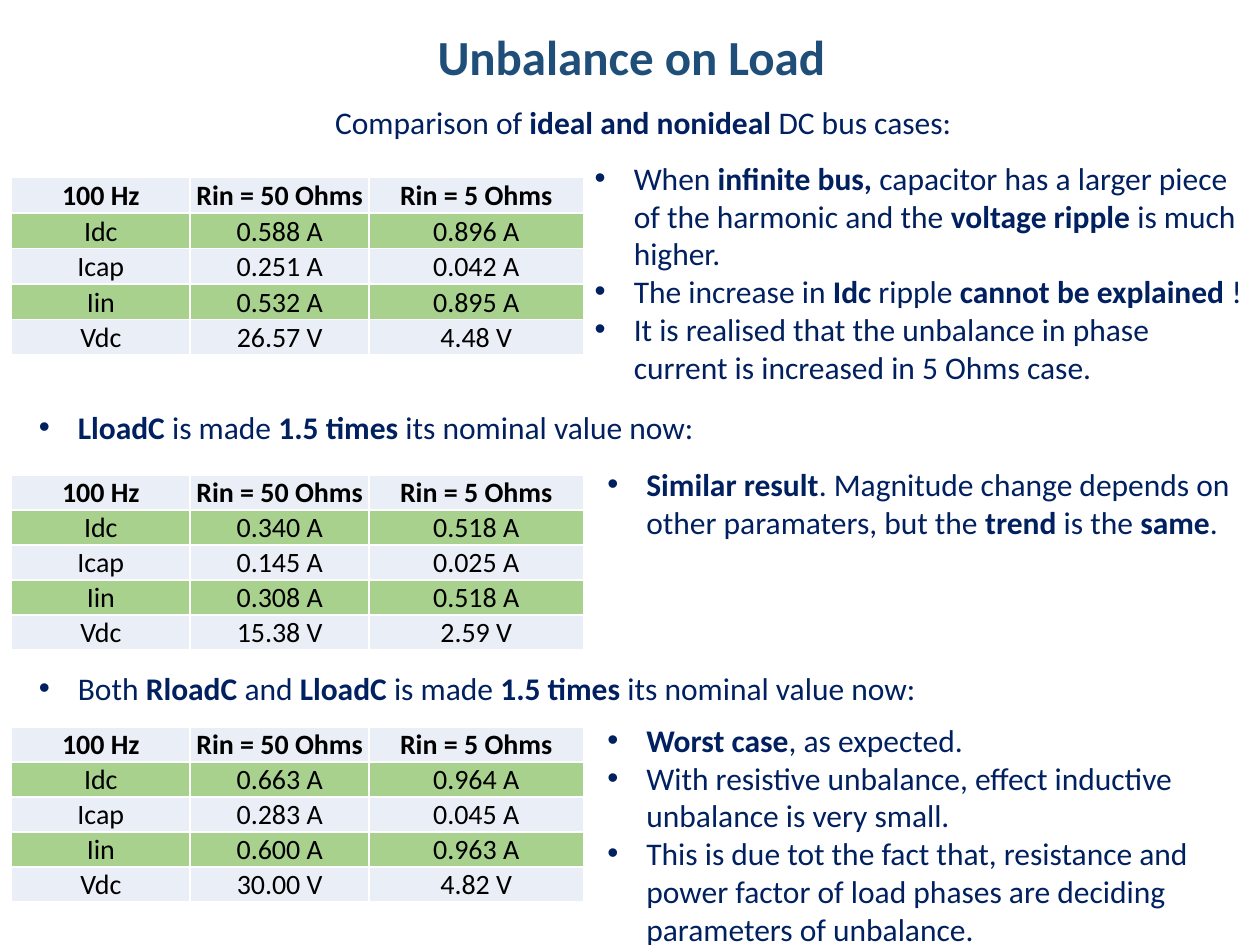
from dataclasses import dataclass

from lxml.etree import SubElement
from pptx import Presentation
from pptx.dml.color import RGBColor
from pptx.enum.text import MSO_ANCHOR, MSO_AUTO_SIZE, PP_ALIGN
from pptx.oxml.ns import qn
from pptx.util import Inches, Pt


@dataclass(frozen=True)
class Theme:
    font: str = "Calibri"
    title: str = "1F4E79"
    body: str = "002060"
    cell: str = "000000"
    border: str = "FFFFFF"
    bands: tuple = ("EAEFF7", "A9D18E")
    title_size: int = 28
    body_size: int = 18
    cell_size: int = 16


T = Theme()

# Content: **double stars** mark bold text
TITLE = "**Unbalance on Load**"
SUBTITLE = "Comparison of **ideal and nonideal **DC bus cases:"
HEADER = ["100 Hz", "Rin = 50 Ohms", "Rin = 5 Ohms"]
QUANTITIES = ["Idc", "Icap", "Iin", "Vdc"]
CASES = [
    dict(
        heading=None,
        values=[("0.588 A", "0.896 A"), ("0.251 A", "0.042 A"),
                ("0.532 A", "0.895 A"), ("26.57 V", "4.48 V")],
        notes=["When **infinite bus, **capacitor has a larger piece of the harmonic "
               "and the **voltage ripple **is much higher.",
               "The increase in **Idc **ripple **cannot be explained **!",
               "It is realised that the unbalance in phase current is increased "
               "in 5 Ohms case."],
        table_top=1.41, notes_box=(4.62, 1.21, 1.92)),
    dict(
        heading="**LloadC** is made **1.5 times **its nominal value now:",
        values=[("0.340 A", "0.518 A"), ("0.145 A", "0.025 A"),
                ("0.308 A", "0.518 A"), ("15.38 V", "2.59 V")],
        notes=["**Similar result**. Magnitude change depends on other paramaters, "
               "but the **trend** is the **same**."],
        heading_top=3.19, table_top=3.77, notes_box=(4.72, 3.64, 0.71)),
    dict(
        heading="Both **RloadC **and **LloadC** is made **1.5 times **its nominal value now:",
        values=[("0.663 A", "0.964 A"), ("0.283 A", "0.045 A"),
                ("0.600 A", "0.963 A"), ("30.00 V", "4.82 V")],
        notes=["**Worst case**, as expected.",
               "With resistive unbalance, effect inductive unbalance is very small.",
               "This is due tot the fact that, resistance and power factor of load "
               "phases are deciding parameters of unbalance."],
        heading_top=5.26, table_top=5.77, notes_box=(4.72, 5.67, 1.92)),
]

# Layout, in inches
SLIDE_W, SLIDE_H = 10, 7.5
LINE_LEFT, LINE_H = 0.21, 0.4
TABLE_LEFT, TABLE_COLS, ROW_H = 0.09, (1.42, 1.42, 1.7), 0.278
INDENT = 0.31


def place(sp, left, top, width, height):
    sp.left, sp.top, sp.width, sp.height = map(Inches, (left, top, width, height))


def add_bullet(p):
    pPr = p._p.get_or_add_pPr()
    pPr.set("marL", str(Inches(INDENT)))
    pPr.set("indent", str(-Inches(INDENT)))
    SubElement(pPr, qn("a:buFont"), typeface="Arial")
    SubElement(pPr, qn("a:buChar"), char="•")


def write(tf, paragraphs, size=T.body_size, color=T.body, align=PP_ALIGN.LEFT,
          anchor=MSO_ANCHOR.TOP, bullet=False):
    """Write paragraphs with bold markup into a text frame."""
    tf.word_wrap = True
    tf.vertical_anchor = anchor
    for i, text in enumerate(paragraphs):
        p = tf.add_paragraph() if i else tf.paragraphs[0]
        p.alignment = align
        p.space_before = Pt(0)
        if bullet:
            add_bullet(p)
        else:
            pPr = p._p.get_or_add_pPr()
            pPr.set("marL", "0")
            pPr.set("indent", "0")
            SubElement(pPr, qn("a:buNone"))
        for k, part in enumerate(text.split("**")):
            if part:
                r = p.add_run()
                r.text = part
                f = r.font
                f.name, f.size, f.bold = T.font, Pt(size), k % 2 == 1
                f.color.rgb = RGBColor.from_string(color)


def add_borders(cell):
    tcPr = cell._tc.get_or_add_tcPr()
    for side in ("lnL", "lnR", "lnT", "lnB"):
        ln = SubElement(tcPr, qn(f"a:{side}"), w=str(Pt(1)))
        SubElement(SubElement(ln, qn("a:solidFill")), qn("a:srgbClr"), val=T.border)


def add_case_table(s, top, values):
    rows = [[f"**{h}**" for h in HEADER]]
    rows += [[q, *v] for q, v in zip(QUANTITIES, values)]
    tbl = s.shapes.add_table(
        len(rows), len(HEADER), Inches(TABLE_LEFT), Inches(top),
        Inches(sum(TABLE_COLS)), Inches(ROW_H * len(rows))).table
    for col, width in zip(tbl.columns, TABLE_COLS):
        col.width = Inches(width)
    for i, row in enumerate(rows):
        for j, text in enumerate(row):
            cell = tbl.cell(i, j)
            cell.margin_left = cell.margin_right = cell.margin_top = Inches(0.01)
            cell.margin_bottom = 0
            cell.vertical_anchor = MSO_ANCHOR.BOTTOM
            add_borders(cell)
            cell.fill.solid()
            cell.fill.fore_color.rgb = RGBColor.from_string(T.bands[i % 2])
            write(cell.text_frame, [text], size=T.cell_size, color=T.cell,
                  align=PP_ALIGN.CENTER, anchor=MSO_ANCHOR.BOTTOM)
            cell.vertical_anchor = MSO_ANCHOR.BOTTOM


def main():
    prs = Presentation()
    prs.slide_width, prs.slide_height = Inches(SLIDE_W), Inches(SLIDE_H)
    s = prs.slides.add_slide(prs.slide_layouts.get_by_name("Comparison"))
    title, subtitle, *note_holders = list(s.placeholders)[:5]
    for sp in (title, subtitle, *note_holders):
        sp.text_frame.auto_size = MSO_AUTO_SIZE.NONE

    # Title and subtitle
    place(title, 0.52, 0.16, 8.98, 0.57)
    write(title.text_frame, [TITLE], size=T.title_size, color=T.title,
          align=PP_ALIGN.CENTER)
    place(subtitle, LINE_LEFT, 0.77, SLIDE_W - LINE_LEFT, LINE_H)
    write(subtitle.text_frame, [SUBTITLE], align=PP_ALIGN.CENTER)

    # One heading, table and list of notes for each case
    for case, notes in zip(CASES, note_holders):
        if case["heading"]:
            box = s.shapes.add_textbox(0, 0, 0, 0)
            place(box, LINE_LEFT, case["heading_top"], SLIDE_W - LINE_LEFT, LINE_H)
            write(box.text_frame, [case["heading"]], bullet=True)
        add_case_table(s, case["table_top"], case["values"])
        left, top, height = case["notes_box"]
        place(notes, left, top, SLIDE_W - left, height)
        write(notes.text_frame, case["notes"], bullet=True)

    prs.save("out.pptx")


if __name__ == "__main__":
    main()
